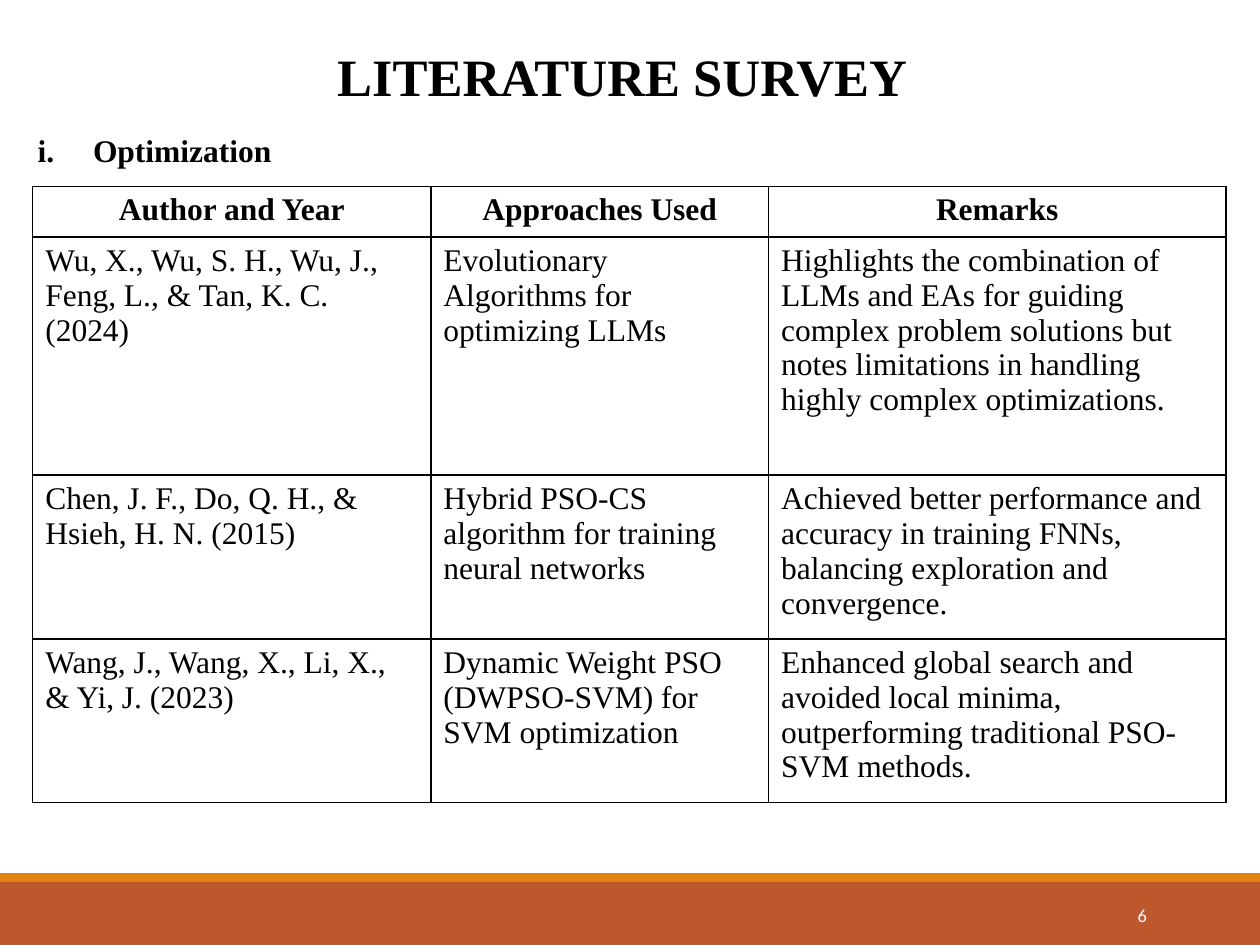
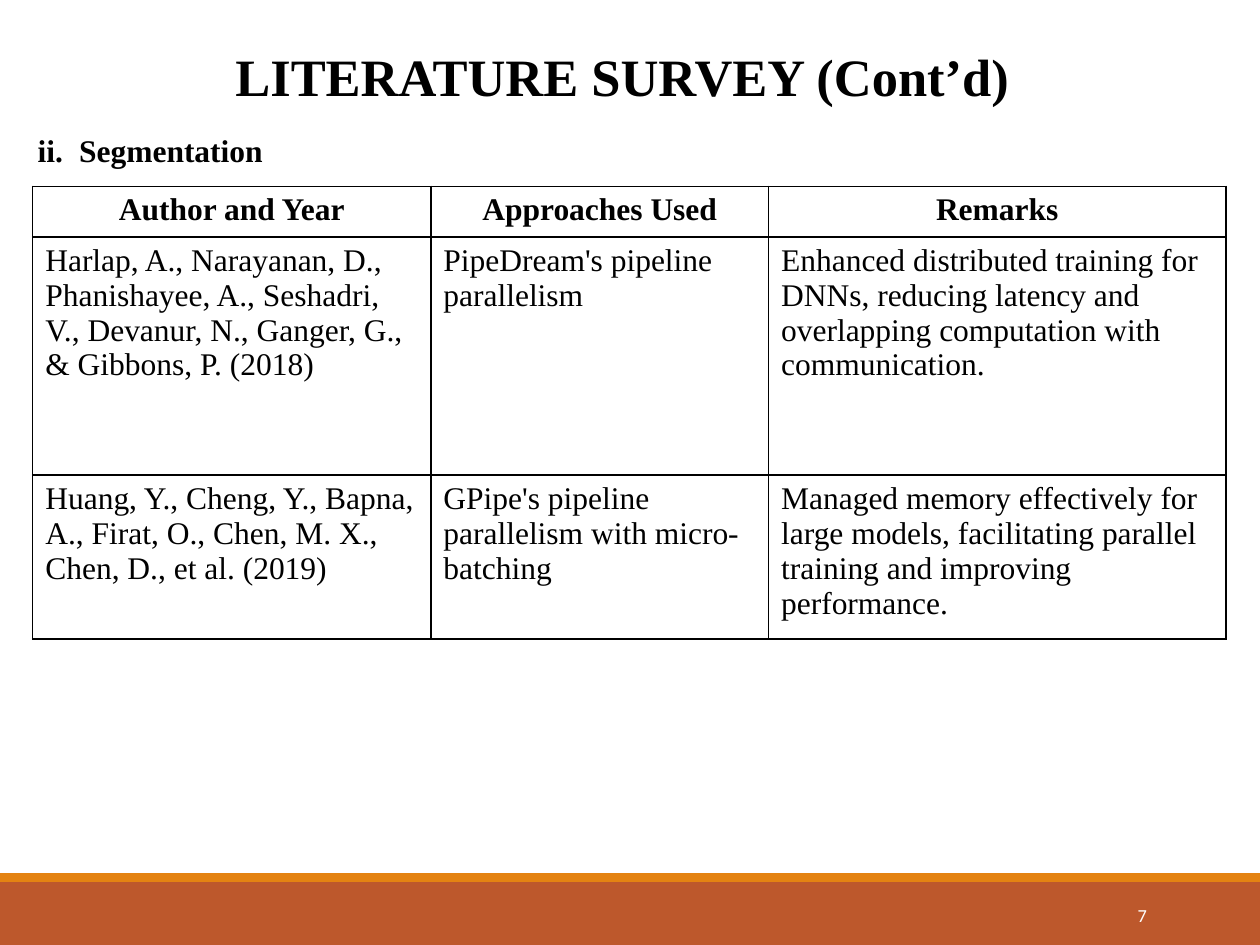
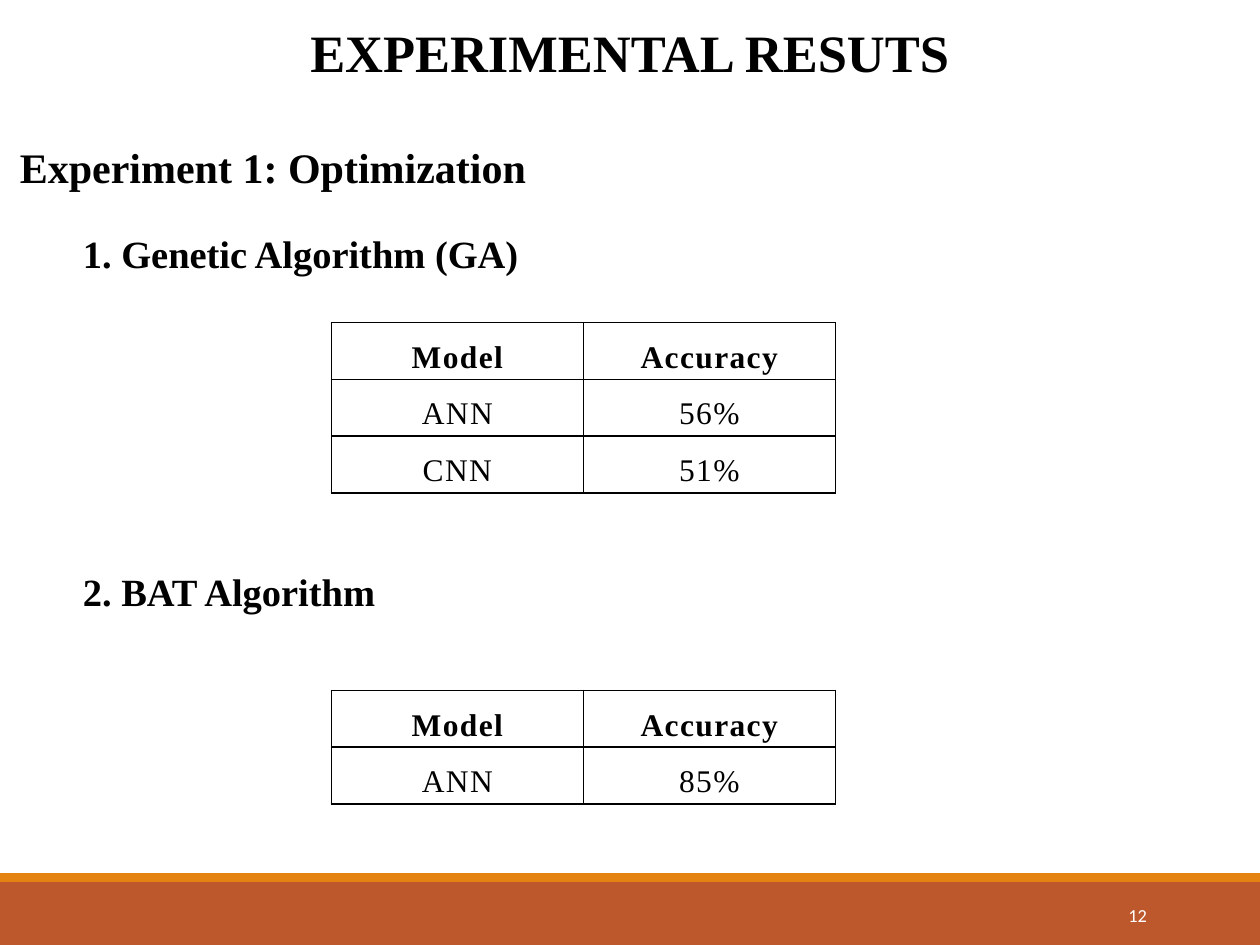
from pptx import Presentation
from pptx.dml.color import RGBColor
from pptx.enum.shapes import MSO_SHAPE
from pptx.enum.text import MSO_ANCHOR, PP_ALIGN
from pptx.oxml.ns import qn
from pptx.util import Inches, Pt
from lxml import etree

BLACK = RGBColor(0x00, 0x00, 0x00)
WHITE = RGBColor(0xFF, 0xFF, 0xFF)
RUST = RGBColor(0xBD, 0x58, 0x2C)
AMBER = RGBColor(0xE4, 0x83, 0x12)
SERIF = "Times New Roman"
SANS = "Calibri"
RECT = MSO_SHAPE.RECTANGLE
LEFT, CENTER, RIGHT = PP_ALIGN.LEFT, PP_ALIGN.CENTER, PP_ALIGN.RIGHT
MIDDLE = MSO_ANCHOR.MIDDLE

SURVEY_HEAD = ("Author and Year", "Approaches Used", "Remarks")
SURVEY_COLS = (3.16, 2.68, 3.63)
SURVEY_ROWS = (0.4, 1.89, 1.3, 1.3)
SCORE_HEAD = ("Model", "Accuracy")

TUNING = [
    ("Wu, X., Wu, S. H., Wu, J., Feng, L., & Tan, K. C. (2024)",
     "Evolutionary Algorithms for optimizing LLMs",
     "Highlights the combination of LLMs and EAs for guiding complex problem "
     "solutions but notes limitations in handling highly complex optimizations."),
    ("Chen, J. F., Do, Q. H., & Hsieh, H. N. (2015)",
     "Hybrid PSO-CS algorithm for training neural networks",
     "Achieved better performance and accuracy in training FNNs, balancing "
     "exploration and convergence."),
    ("Wang, J., Wang, X., Li, X., & Yi, J. (2023)",
     "Dynamic Weight PSO (DWPSO-SVM) for SVM optimization",
     "Enhanced global search and avoided local minima, outperforming "
     "traditional PSO-SVM methods."),
]
SPLITTING = [
    ("Harlap, A., Narayanan, D., Phanishayee, A., Seshadri, V., Devanur, N., "
     "Ganger, G., & Gibbons, P. (2018)",
     "PipeDream's pipeline parallelism",
     "Enhanced distributed training for DNNs, reducing latency and "
     "overlapping computation with communication."),
    ("Huang, Y., Cheng, Y., Bapna, A., Firat, O., Chen, M. X., Chen, D., "
     "et al. (2019)",
     "GPipe's pipeline parallelism with micro-batching",
     "Managed memory effectively for large models, facilitating parallel "
     "training and improving performance."),
]


def style(para, size, bold=True, align=LEFT, face=SERIF, color=BLACK):
    para.alignment = align
    font = para.font
    font.name, font.size, font.bold = face, Pt(size), bold
    font.color.rgb = color


def add_band(slide, top, height, color):
    band = slide.shapes.add_shape(RECT, 0, Inches(top), Inches(10), Inches(height))
    band.shadow.inherit = False
    band.fill.solid()
    band.fill.fore_color.rgb = color
    band.line.fill.background()


def add_text(slide, place, text, size, **look):
    frame = slide.shapes.add_textbox(*map(Inches, place)).text_frame
    frame.word_wrap = True
    para = frame.paragraphs[0]
    para.text = text
    style(para, size, **look)
    return frame


def indent(para, left, first=0):
    props = para._p.get_or_add_pPr()
    props.set("marL", str(Inches(left)))
    props.set("indent", str(Inches(first)))
    return props


def add_topic(slide, text, number, width, hang):
    """Add a section heading with an automatic roman number."""
    frame = add_text(slide, (0.2, 0.99, width, 0.4), text, 18)
    frame.word_wrap = False
    props = indent(frame.paragraphs[0], hang, -hang)
    mark = etree.Element(qn("a:buAutoNum"), type="romanLcPeriod", startAt=str(number))
    props.insert_element_before(mark, "a:tabLst", "a:defRPr", "a:extLst")


def draw_edges(cell):
    props = cell._tc.get_or_add_tcPr()
    for side in "LRTB":
        line = etree.SubElement(props, qn(f"a:ln{side}"), w=str(Pt(1)))
        fill = etree.SubElement(line, qn("a:solidFill"))
        etree.SubElement(fill, qn("a:srgbClr"), val=str(BLACK))


def add_grid(slide, left, top, cols, heights, rows):
    """Add a plain ruled table whose first row is a bold, centred head."""
    place = map(Inches, (left, top, sum(cols), sum(heights)))
    table = slide.shapes.add_table(len(rows), len(cols), *place).table
    table.first_row = table.horz_banding = False
    for col, width in zip(table.columns, cols):
        col.width = Inches(width)
    for r, (row, height) in enumerate(zip(rows, heights)):
        table.rows[r].height = Inches(height)
        for c, text in enumerate(row):
            cell = table.cell(r, c)
            draw_edges(cell)
            cell.fill.background()
            cell.text = text
            head = r == 0
            style(cell.text_frame.paragraphs[0], 18, head, CENTER if head else LEFT)
    return table


def add_survey(slide, rows):
    heights = SURVEY_ROWS[:len(rows) + 1]
    add_grid(slide, 0.26, 1.48, SURVEY_COLS, heights, [SURVEY_HEAD, *rows])


def add_scores(slide, top, rows):
    rows = [SCORE_HEAD, *rows]
    table = add_grid(slide, 2.63, top, (2, 2), [0.4] * len(rows), rows)
    for cell in table.iter_cells():
        cell.margin_left = cell.margin_right = Inches(0.07)
        cell.margin_top = cell.margin_bottom = 0
        para = cell.text_frame.paragraphs[0]
        para.alignment = CENTER
        para.line_spacing = 1.5
        para.space_after = Pt(6)
        para.runs[0].font._element.set("spc", "80")


def add_page(deck, title, number, top=0.3, width=9.88):
    """Start a slide with its bands, title and page number."""
    slide = deck.slides.add_slide(deck.slide_layouts[6])
    add_band(slide, 7, 0.5, RUST)
    add_band(slide, 6.93, 0.07, AMBER)
    add_text(slide, (0, top, width, 0.61), title, 30, align=CENTER)
    page = add_text(slide, (8.12, 7.06, 1.08, 0.4), str(number), 10.5,
                    bold=False, align=RIGHT, face=SANS, color=WHITE)
    page.vertical_anchor = MIDDLE
    return slide


def main():
    deck = Presentation()
    deck.slide_width, deck.slide_height = Inches(10), Inches(7.5)

    slide = add_page(deck, "LITERATURE SURVEY", 6)
    add_topic(slide, "Optimization", 1, 2.07, 0.44)
    add_survey(slide, TUNING)

    slide = add_page(deck, "LITERATURE SURVEY (Cont’d)", 7)
    add_topic(slide, "Segmentation", 2, 2, 0.33)
    add_survey(slide, SPLITTING)

    slide = add_page(deck, "EXPERIMENTAL RESUTS", 12, top=0.11, width=10)
    frame = add_text(slide, (0.06, 1.07, 10, 1.18), "Experiment 1: Optimization", 24)
    item = frame.add_paragraph()
    item.text = "1. Genetic Algorithm (GA)"
    style(item, 22)
    item.space_before = Pt(22)
    indent(item, 0.5)
    add_scores(slide, 2.56, [("ANN", "56%"), ("CNN", "51%")])
    frame = add_text(slide, (0.06, 4.46, 10, 0.5), "2. BAT Algorithm", 22)
    indent(frame.paragraphs[0], 0.5)
    add_scores(slide, 5.48, [("ANN", "85%")])

    deck.save("out.pptx")


if __name__ == "__main__":
    main()
